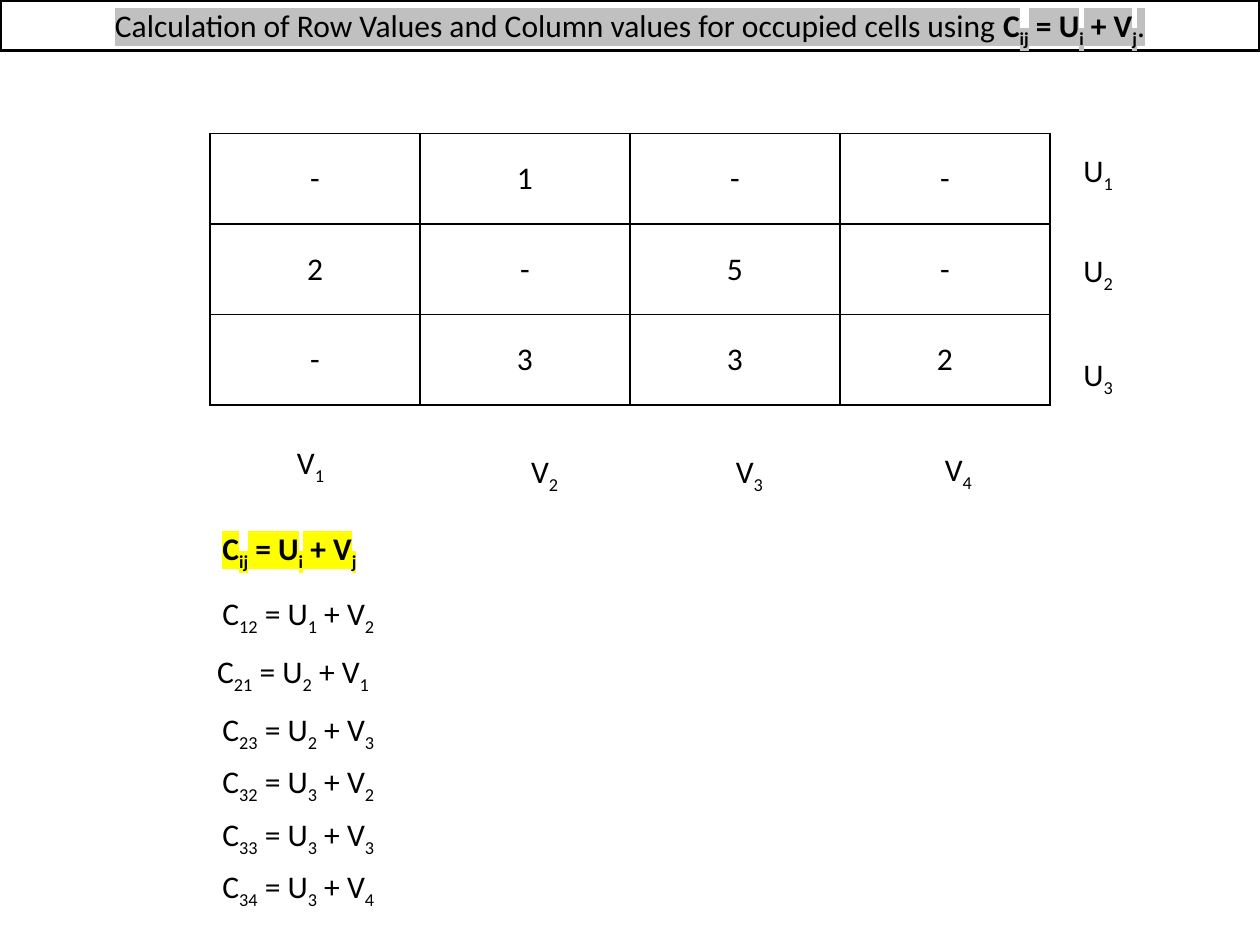
from lxml import etree
from pptx import Presentation, util as u
from pptx.dml.color import RGBColor
from pptx.enum import text
from pptx.oxml.ns import qn

COLORS = {"ink": "000000", "paper": "FFFFFF", "title": "C0C0C0", "rule": "FFFF00"}
COLS, ROWS = 12, 18
BOX_H = 0.96
COSTS = ["-1--", "2-5-", "-332"]


def formula(i, j):
    """Mark subscripts by putting them between bars."""
    return f"C|{i}{j}| = U|{i}| + V|{j}"


class Sheet:
    """Draws on one slide; lengths are grid columns and rows."""

    def __init__(self, prs, font="Calibri", size=18):
        self.s = prs.slides.add_slide(prs.slide_layouts[5])
        self.font, self.size = font, size
        self.col, self.row = prs.slide_width / COLS, prs.slide_height / ROWS

    def frame(self, x, y, w, h):
        return (round(x * self.col), round(y * self.row),
                round(w * self.col), round(h * self.row))

    def add_runs(self, p, marked, bold=False, highlight=None):
        for n, part in enumerate(marked.split("|")):
            r = p.add_run()
            r.text = part
            r.font.size, r.font.bold = u.Pt(self.size), bold
            r.font.color.rgb = RGBColor.from_string(COLORS["ink"])
            r.font.name = self.font
            rPr = r._r.get_or_add_rPr()
            if n % 2:
                rPr.set("baseline", "-25000")
            if highlight:
                mark = etree.Element(qn("a:highlight"))
                etree.SubElement(mark, qn("a:srgbClr"), val=COLORS[highlight])
                rPr.find(qn("a:solidFill")).addnext(mark)

    def title(self, *parts):
        sp = self.s.shapes.title
        sp.left, sp.top, sp.width, sp.height = self.frame(0, 0, COLS, BOX_H)
        sp.fill.solid()
        sp.fill.fore_color.rgb = RGBColor.from_string(COLORS["paper"])
        sp.line.color.rgb = RGBColor.from_string(COLORS["ink"])
        sp.line.width = u.Pt(2)
        tf = sp.text_frame
        tf.auto_size, tf.word_wrap = text.MSO_AUTO_SIZE.NONE, True
        tf.vertical_anchor = text.MSO_ANCHOR.TOP
        p = tf.paragraphs[0]
        p.alignment = text.PP_ALIGN.CENTER
        for marked, bold in parts:
            self.add_runs(p, marked, bold, "title")

    def label(self, x, y, w, marked, **style):
        tf = self.s.shapes.add_textbox(*self.frame(x, y, w, BOX_H)).text_frame
        tf.word_wrap = True
        self.add_runs(tf.paragraphs[0], marked, **style)

    def border(self, cell):
        tcPr = cell._tc.get_or_add_tcPr()
        for side in ("lnL", "lnR", "lnT", "lnB"):
            ln = etree.SubElement(tcPr, qn(f"a:{side}"), w=str(u.Pt(1)))
            fill = etree.SubElement(ln, qn("a:solidFill"))
            etree.SubElement(fill, qn("a:srgbClr"), val=COLORS["ink"])

    def table(self, x, y, w, h, rows):
        shape = self.s.shapes.add_table(len(rows), len(rows[0]), *self.frame(x, y, w, h))
        tbl = shape.table
        tbl.first_row = tbl.horz_banding = False
        for i, values in enumerate(rows):
            for j, value in enumerate(values):
                cell = tbl.cell(i, j)
                self.border(cell)
                cell.fill.background()
                cell.vertical_anchor = text.MSO_ANCHOR.MIDDLE
                p = cell.text_frame.paragraphs[0]
                p.alignment = text.PP_ALIGN.CENTER
                self.add_runs(p, value)


def main():
    prs = Presentation()
    prs.slide_width, prs.slide_height = u.Inches(10), u.Inches(7.5)
    sheet = Sheet(prs)

    sheet.title(
        ("Calculation of Row Values and Column values for occupied cells using ", False),
        (formula("i", "j"), True), (".", False))
    sheet.table(2, 2.54, 8, 5.18, COSTS)

    for i, y in enumerate((2.76, 4.66, 6.65), 1):
        sheet.label(10.2, y, 0.9, f"U|{i}")
    for j, (x, y) in enumerate(((2.71, 8.33), (4.94, 8.5), (6.89, 8.5), (8.88, 8.45)), 1):
        sheet.label(x, y, 0.8, f"V|{j}")

    sheet.label(2, 9.96, 9.4, formula("i", "j"), bold=True, highlight="rule")
    occupied = [(i, j) for i, values in enumerate(COSTS, 1)
                for j, value in enumerate(values, 1) if value != "-"]
    tops = (11.2, 12.3, 13.4, 14.4, 15.4, 16.4)
    for (i, j), y in zip(occupied, tops):
        x = 1.95 if (i, j) == (2, 1) else 2
        sheet.label(x, y, 2.2, formula(i, j))

    prs.save("out.pptx")


if __name__ == "__main__":
    main()
